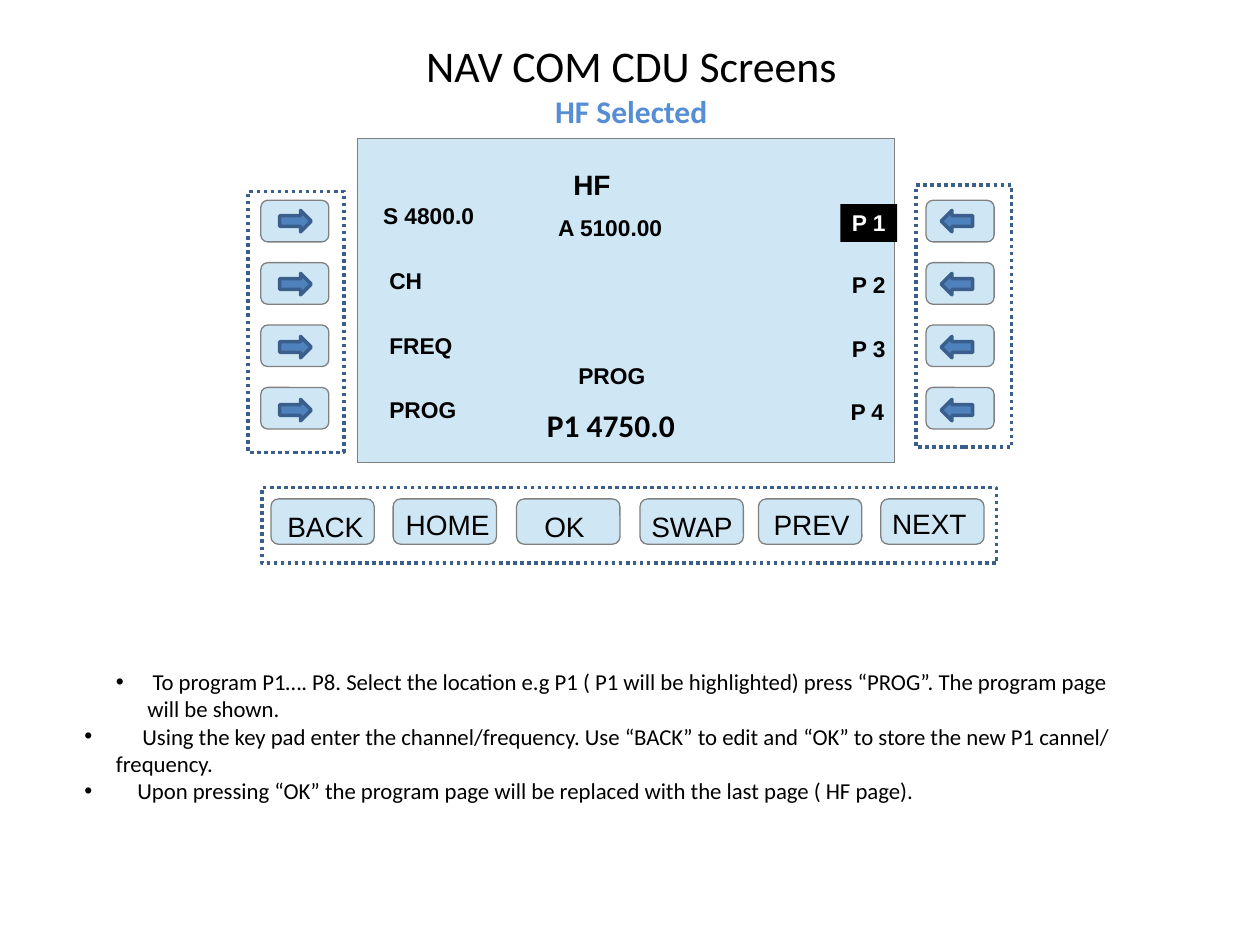
from dataclasses import dataclass

from lxml.etree import SubElement
from pptx import Presentation
from pptx.dml.color import RGBColor
from pptx.enum.dml import MSO_LINE
from pptx.enum.shapes import MSO_SHAPE
from pptx.enum.text import MSO_ANCHOR, MSO_AUTO_SIZE, PP_ALIGN
from pptx.oxml.ns import qn
from pptx.util import Inches, Pt

HUES = {
    "ink": "000000",
    "white": "FFFFFF",
    "panel": "CFE7F5",
    "edge": "808080",
    "arrow": "4F81BD",
    "frame": "3A5F8C",
    "accent": "558ED5",
}


@dataclass
class Box:
    x: float
    y: float
    w: float
    h: float


@dataclass
class Label:
    text: str
    x: float
    y: float
    w: float
    h: float = 0.3
    size: int = 13
    bold: bool = True
    font: str = "Arial"
    hue: str = "ink"
    fill: str = ""


@dataclass
class Bullet:
    text: str
    left: float
    tab: float = 0


def tint(name: str) -> RGBColor:
    return RGBColor.from_string(HUES[name])


def place(item, box) -> None:
    item.left, item.top = Inches(box.x), Inches(box.y)
    item.width, item.height = Inches(box.w), Inches(box.h)


def draw(slide, kind, box: Box, fill: str, line: str, width: float = 0):
    item = slide.shapes.add_shape(kind, 0, 0, 0, 0)
    place(item, box)
    item.shadow.inherit = False
    if fill:
        item.fill.solid()
        item.fill.fore_color.rgb = tint(fill)
    else:
        item.fill.background()
    item.line.color.rgb = tint(line)
    item.line.width = Pt(width)
    return item


def write(slide, label: Label) -> None:
    item = slide.shapes.add_textbox(0, 0, 0, 0)
    place(item, label)
    if label.fill:
        item.fill.solid()
        item.fill.fore_color.rgb = tint(label.fill)
    frame = item.text_frame
    frame.word_wrap = False
    frame.auto_size = MSO_AUTO_SIZE.SHAPE_TO_FIT_TEXT
    frame.margin_left = frame.margin_right = Inches(0.09)
    frame.margin_top = frame.margin_bottom = Inches(0.04)
    para = frame.paragraphs[0]
    para.text = label.text
    font = para.font
    font.name, font.size, font.bold = label.font, Pt(label.size), label.bold
    font.color.rgb = tint(label.hue)


def head(title) -> None:
    place(title, Box(0.51, 0.25, 9, 1.25))
    frame = title.text_frame
    frame.auto_size = MSO_AUTO_SIZE.NONE
    frame.vertical_anchor = MSO_ANCHOR.TOP
    frame.margin_top = Inches(0.06)
    para = frame.paragraphs[0]
    para.alignment = PP_ALIGN.CENTER
    para.font.name = "Calibri"
    lines = [("NAV COM CDU Screens", 25, "ink", False), ("HF Selected", 18, "accent", True)]
    for i, (text, size, hue, bold) in enumerate(lines):
        if i:
            para.add_line_break()
        run = para.add_run()
        run.text = text
        run.font.size, run.font.bold = Pt(size), bold
        run.font.color.rgb = tint(hue)


def notes(body, items: list[Bullet]) -> None:
    place(body, Box(0.58, 5.25, 8.35, 1.19))
    frame = body.text_frame
    frame.auto_size = MSO_AUTO_SIZE.NONE
    frame.margin_left = frame.margin_right = Inches(0.09)
    for i, item in enumerate(items):
        para = frame.add_paragraph() if i else frame.paragraphs[0]
        para.text = item.text
        para.space_before = Pt(0)
        props = para._p.get_or_add_pPr()
        props.set("marL", str(Inches(item.left)))
        props.set("indent", str(Inches(-0.25)))
        SubElement(props, qn("a:buChar")).set("char", "•")
        if item.tab:
            stop = SubElement(SubElement(props, qn("a:tabLst")), qn("a:tab"))
            stop.set("pos", str(Inches(item.tab)))
            stop.set("algn", "l")
        para.font.name, para.font.size = "Calibri", Pt(13)
        para.font.color.rgb = tint("ink")


SIDES = [
    (2.07, 2.22, MSO_SHAPE.RIGHT_ARROW),
    (7.35, 7.47, MSO_SHAPE.LEFT_ARROW),
]
FRAMES = [Box(1.97, 1.52, 0.76, 2.07), Box(7.27, 1.47, 0.76, 2.08), Box(2.08, 3.87, 5.83, 0.6)]
KEYS = [
    (2.15, "BACK", 2.19, 4.0, 0.82),
    (3.12, "HOME", 3.13, 3.99, 0.88),
    (4.1, "OK", 4.23, 4.0, 0.6),
    (5.08, "SWAP", 5.08, 4.0, 0.86),
    (6.02, "PREV", 6.05, 3.99, 0.82),
    (6.99, "NEXT", 6.99, 3.98, 0.81),
]
LABELS = [
    Label("HF", 4.46, 1.29, 0.48, 0.35, 16),
    Label("A 5100.00", 4.34, 1.66, 1.07),
    Label("S 4800.0", 2.95, 1.56, 0.91),
    Label("PROG", 4.5, 2.83, 0.72),
    Label("P1 4750.0", 4.25, 3.18, 1.23, 0.38, 18, font="Calibri"),
    Label("CH", 3, 2.08, 0.44),
    Label("FREQ", 3, 2.59, 0.69),
    Label("PROG", 3, 3.1, 0.72),
    Label("P 1", 6.67, 1.62, 0.45, hue="white", fill="ink"),
    Label("P 2", 6.67, 2.11, 0.45),
    Label("P 3", 6.67, 2.62, 0.45),
    Label("P 4", 6.66, 3.12, 0.45),
]
STEPS = [
    Bullet(" To program P1…. P8. Select the location e.g P1 ( P1 will be highlighted) "
           "press “PROG”. The program page will be shown.", 0.5),
    Bullet("\tUsing the key pad enter the channel/frequency. Use “BACK” to edit and "
           "“OK” to store the new P1 cannel/ frequency.", 0.25, 0.46),
    Bullet("\tUpon pressing “OK” the program page will be replaced with the last page "
           "( HF page).", 0.25, 0.42),
]


def main() -> None:
    deck = Presentation()
    deck.slide_width, deck.slide_height = Inches(10), Inches(7.5)
    slide = deck.slides.add_slide(deck.slide_layouts[1])
    head(slide.shapes.title)
    notes(slide.placeholders[1], STEPS)
    draw(slide, MSO_SHAPE.RECTANGLE, Box(2.84, 1.1, 4.26, 2.57), "panel", "edge")
    for box in FRAMES:
        item = draw(slide, MSO_SHAPE.RECTANGLE, box, "", "frame", 2)
        item.line.dash_style = MSO_LINE.ROUND_DOT
    for left, tip, kind in SIDES:
        for row in range(4):
            top = 1.59 + row * 0.495
            draw(slide, MSO_SHAPE.ROUNDED_RECTANGLE, Box(left, top, 0.54, 0.33), "panel", "edge")
            draw(slide, kind, Box(tip, 1.67 + row * 0.5, 0.25, 0.17), "arrow", "frame", 2)
    for left, text, x, y, w in KEYS:
        draw(slide, MSO_SHAPE.ROUNDED_RECTANGLE, Box(left, 3.96, 0.82, 0.36), "panel", "edge")
        write(slide, Label(text, x, y, w, 0.35, 16, False))
    for label in LABELS:
        write(slide, label)
    deck.save("out.pptx")


if __name__ == "__main__":
    main()
